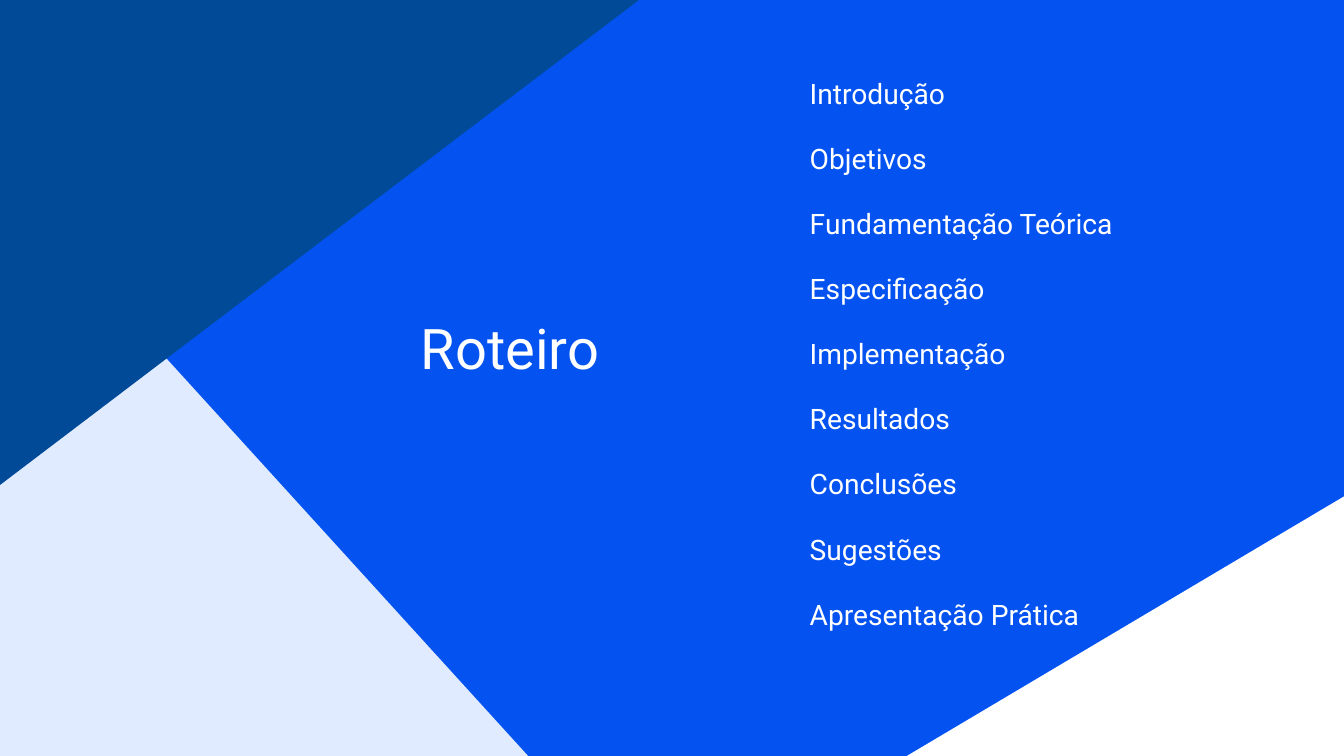
from pptx import Presentation
from pptx.dml.color import RGBColor
from pptx.enum.shapes import MSO_SHAPE
from pptx.enum.text import MSO_ANCHOR, MSO_AUTO_SIZE, PP_ALIGN
from pptx.util import Pt

BLUE = RGBColor(0x04, 0x53, 0xF1)
DARK_BLUE = RGBColor(0x00, 0x4A, 0x98)
PALE_BLUE = RGBColor(0xE1, 0xEB, 0xFF)
WHITE = RGBColor(0xFF, 0xFF, 0xFF)

PANEL_WIDTH, PANEL_HEIGHT = 1278, 648
TOPIC_LEFT, TOPIC_TOP, TOPIC_STEP = 867.6, 75.6, 69.75

TOPICS = [
    "Introdução",
    "Objetivos",
    "Fundamentação Teórica",
    "Especificação",
    "Implementação",
    "Resultados",
    "Conclusões",
    "Sugestões",
    "Apresentação Prática",
]


def set_text(shape, text, size, line_height):
    """Fill a shape with one left-aligned white line, without margins."""
    text_frame = shape.text_frame
    text_frame.text = text
    text_frame.word_wrap = True
    text_frame.auto_size = MSO_AUTO_SIZE.SHAPE_TO_FIT_TEXT
    text_frame.vertical_anchor = MSO_ANCHOR.TOP
    text_frame.margin_left = text_frame.margin_right = 0
    text_frame.margin_top = text_frame.margin_bottom = 0
    paragraph = text_frame.paragraphs[0]
    paragraph.alignment = PP_ALIGN.LEFT
    paragraph.line_spacing = Pt(line_height)
    paragraph.space_before = Pt(0)
    font = paragraph.runs[0].font
    font.name = "Roboto"
    font.size = Pt(size)
    font.color.rgb = WHITE


presentation = Presentation()
presentation.slide_width = Pt(1440)
presentation.slide_height = Pt(810)
slide = presentation.slides.add_slide(presentation.slide_layouts[5])
slide.background.fill.solid()
slide.background.fill.fore_color.rgb = BLUE

# Tilted panels that cut the corners
for left, top, rotation, color in [
    (-511.2, 486, 47.7, PALE_BLUE),
    (-445.68, -357.84, 322.8, DARK_BLUE),
    (672.48, 660.96, 329.3, WHITE),
]:
    panel = slide.shapes.add_shape(
        MSO_SHAPE.RECTANGLE, Pt(left), Pt(top), Pt(PANEL_WIDTH), Pt(PANEL_HEIGHT)
    )
    panel.rotation = rotation
    panel.shadow.inherit = False
    panel.fill.solid()
    panel.fill.fore_color.rgb = color
    panel.line.fill.background()

# Title, brought in front of the panels
title = slide.shapes.title
title.element.getparent().append(title.element)
title.left, title.top = Pt(450.72), Pt(336.24)
title.width, title.height = Pt(417.6), Pt(72)
set_text(title, "Roteiro", 60, 72)

# Topics
for index, topic in enumerate(TOPICS):
    topic_box = slide.shapes.add_textbox(
        Pt(TOPIC_LEFT), Pt(TOPIC_TOP + index * TOPIC_STEP), Pt(333.36), Pt(41.04)
    )
    set_text(topic_box, topic, 30.2, 42.3)

presentation.save("out.pptx")
